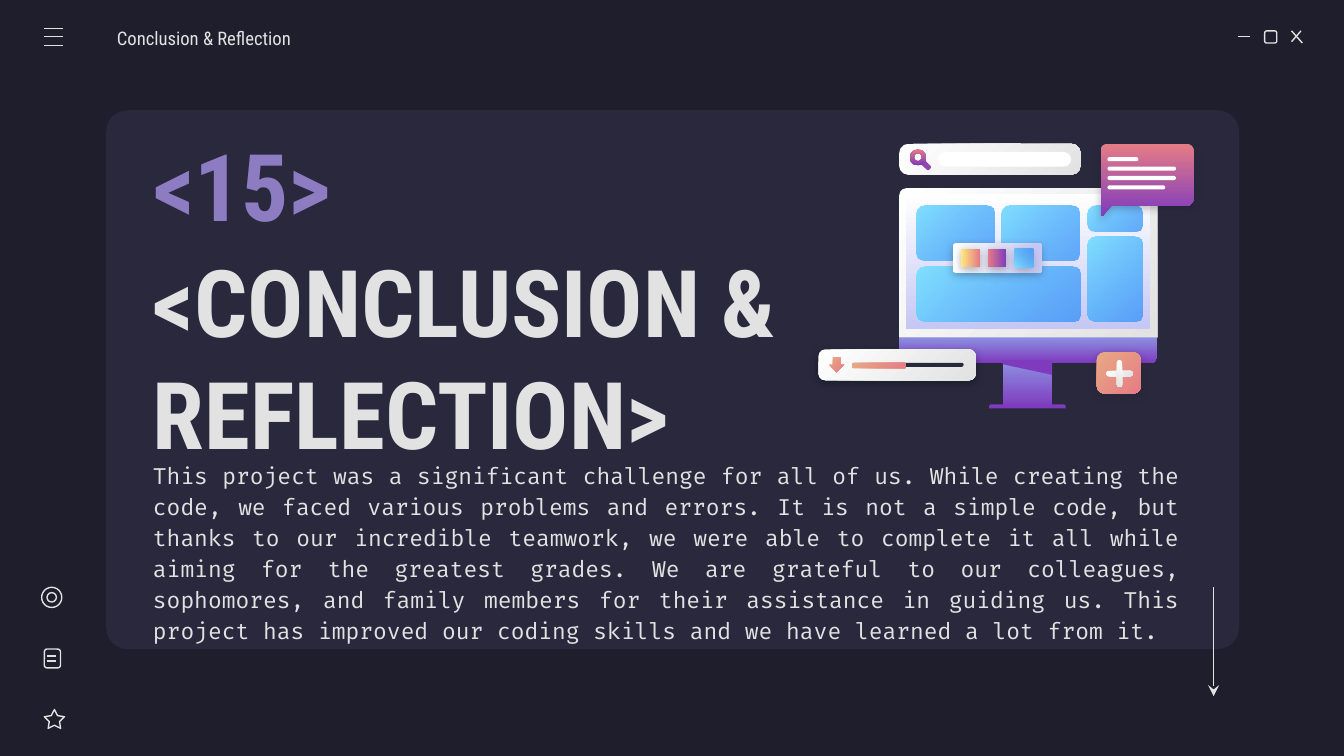
import math

from lxml import etree
from pptx import Presentation
from pptx.dml.color import RGBColor
from pptx.enum.shapes import MSO_CONNECTOR, MSO_SHAPE
from pptx.enum.text import MSO_ANCHOR, PP_ALIGN
from pptx.oxml.ns import qn
from pptx.util import Inches, Pt

ROUND = MSO_SHAPE.ROUNDED_RECTANGLE
TOP_ROUND = MSO_SHAPE.ROUND_2_SAME_RECTANGLE
OVAL = MSO_SHAPE.OVAL
STAR = MSO_SHAPE.STAR_5_POINT
DONUT = MSO_SHAPE.DONUT
DOWN_ARROW = MSO_SHAPE.DOWN_ARROW
RECTANGLE = MSO_SHAPE.RECTANGLE
STRAIGHT = MSO_CONNECTOR.STRAIGHT
MIDDLE = MSO_ANCHOR.MIDDLE
LEFT = PP_ALIGN.LEFT
JUSTIFY = PP_ALIGN.JUSTIFY

NIGHT = RGBColor(0x1E, 0x1E, 0x2C)
PANEL = RGBColor(0x29, 0x28, 0x3D)
PALE = RGBColor(0xE2, 0xE2, 0xE2)
LILAC = RGBColor(0x8E, 0x7C, 0xC3)
WHITE = RGBColor(0xFF, 0xFF, 0xFF)
BLACK = RGBColor(0x00, 0x00, 0x00)
PURPLE = RGBColor(0x7E, 0x3B, 0xBE)
PERIWINKLE = RGBColor(0x8D, 0x90, 0xE1)
LAVENDER = RGBColor(0xC5, 0xC7, 0xF4)
SKY = RGBColor(0x80, 0xDF, 0xFF)
BLUE = RGBColor(0x31, 0x8F, 0xFA)
ROSE = RGBColor(0xE5, 0x7C, 0x85)
PEACH = RGBColor(0xE9, 0xA9, 0x84)
YELLOW = RGBColor(0xFF, 0xEA, 0x7D)
PLUM = RGBColor(0x92, 0x47, 0xAF)

# Gradients: first colour, last colour, clockwise angle
SILVER = (WHITE, PALE, 45)
VIOLET = (PERIWINKLE, PURPLE, 90)
GLASS = (SKY, BLUE, 45)
CORAL = (PEACH, ROSE, 45)
SUNSET = (ROSE, PURPLE, 90)

BODY = (
    "This project was a significant challenge for all of us. While creating the code, "
    "we faced various problems and errors. It is not a simple code, but thanks to our "
    "incredible teamwork, we were able to complete it all while aiming for the greatest "
    "grades. We are grateful to our colleagues, sophomores, and family members for their "
    "assistance in guiding us. This project has improved our coding skills and we have "
    "learned a lot from it."
)


def paint(shape, fill, shadow=None):
    """Apply a plain colour, a gradient tuple or no fill (thin outline instead)."""
    shape.shadow.inherit = False
    if fill is None:
        shape.fill.background()
        shape.line.color.rgb = PALE
        shape.line.width = Pt(0.75)
        return shape
    shape.line.fill.background()
    if isinstance(fill, RGBColor):
        shape.fill.solid()
        shape.fill.fore_color.rgb = fill
    else:
        first, last, angle = fill
        shape.fill.gradient()
        shape.fill.gradient_angle = (360 - angle) % 360
        for stop, colour in zip(shape.fill.gradient_stops, (first, last)):
            stop.color.rgb = colour
        for colour in shape._element.spPr.iter(qn("a:srgbClr")):
            if colour.get("val") == str(BLUE):
                etree.SubElement(colour, qn("a:alpha"), val="72000")
    if shadow is not None:
        effects = shape._element.spPr.find(qn("a:effectLst"))
        outer = etree.SubElement(effects, qn("a:outerShdw"), blurRad=str(Pt(4.5)),
                                 dist=str(Pt(1.5)), dir="5400000", algn="bl", rotWithShape="0")
        colour = etree.SubElement(outer, qn("a:srgbClr"), val=str(shadow))
        etree.SubElement(colour, qn("a:alpha"), val="30000")
    return shape


def add_preset(slide, kind, box, fill=None, adjustments=(), shadow=None):
    shape = slide.shapes.add_shape(kind, *map(Inches, box))
    for index, value in enumerate(adjustments):
        shape.adjustments[index] = value
    return paint(shape, fill, shadow)


def add_rounded(slide, box, radius, fill=None, shadow=None):
    """Rounded rectangle with its corner radius in inches."""
    return add_preset(slide, ROUND, box, fill, [radius / min(box[2:])], shadow)


def add_outline(slide, points, fill, shadow=None):
    corners = [(Inches(x), Inches(y)) for x, y in points]
    builder = slide.shapes.build_freeform(*corners[0])
    builder.add_line_segments(corners[1:], close=True)
    return paint(builder.convert_to_shape(), fill, shadow)


def add_line(slide, x1, y1, x2, y2, head=None):
    line = slide.shapes.add_connector(STRAIGHT, *map(Inches, (x1, y1, x2, y2)))
    line.line.color.rgb = PALE
    line.line.width = Pt(0.75)
    if head:
        etree.SubElement(line.line._get_or_add_ln(), qn("a:tailEnd"), type=head)
    etree.SubElement(line._element.spPr, qn("a:effectLst"))


def add_text(slide, box, text, font, size, colour, bold=False, align=LEFT,
             spacing=1.0, left_inset=0.1):
    frame = slide.shapes.add_textbox(*map(Inches, box)).text_frame
    frame.word_wrap = True
    frame.vertical_anchor = MIDDLE
    frame.margin_left = Inches(left_inset)
    frame.margin_right = frame.margin_top = frame.margin_bottom = Inches(0.1)
    frame.text = text
    paragraph = frame.paragraphs[0]
    paragraph.alignment = align
    paragraph.line_spacing = spacing
    run_font = paragraph.runs[0].font
    run_font.name, run_font.size, run_font.bold = font, Pt(size), bold
    run_font.color.rgb = colour


def arc(x, y, radius, start):
    """Points of a clockwise quarter circle that begins at the given angle."""
    angles = [math.radians(start + step) for step in range(0, 91, 15)]
    return [(x + radius * math.cos(a), y + radius * math.sin(a)) for a in angles]


def draw_window_icons(slide):
    add_line(slide, 9.21, 0.27, 9.3, 0.27)
    add_rounded(slide, (9.41, 0.23, 0.09, 0.09), 0.015)
    add_line(slide, 9.61, 0.23, 9.69, 0.32)
    add_line(slide, 9.68, 0.23, 9.61, 0.31)
    for y in (0.21, 0.27, 0.34):
        add_line(slide, 0.33, y, 0.47, y)


def draw_side_icons(slide):
    add_preset(slide, OVAL, (0.31, 4.37, 0.15, 0.15))
    add_preset(slide, OVAL, (0.35, 4.41, 0.07, 0.07))
    add_rounded(slide, (0.33, 4.83, 0.12, 0.14), 0.02)
    for y in (4.88, 4.92):
        add_line(slide, 0.35, y, 0.42, y)
    add_preset(slide, STAR, (0.33, 5.28, 0.15, 0.14), None, (0.254, 1.051, 1.106))


def draw_monitor(slide):
    add_preset(slide, TOP_ROUND, (6.69, 1.4, 1.92, 1.11), SILVER, (0.05, 0))
    add_preset(slide, TOP_ROUND, (6.69, 2.51, 1.92, 0.19), VIOLET, (0, 0.25))
    add_preset(slide, RECTANGLE, (6.74, 1.44, 1.82, 1.01), (WHITE, LAVENDER, 90))
    add_preset(slide, RECTANGLE, (7.46, 2.69, 0.37, 0.34), VIOLET)
    add_preset(slide, TOP_ROUND, (7.36, 3.01, 0.57, 0.03), PURPLE, (0.5, 0))
    add_outline(slide, [(7.46, 2.68), (7.46, 2.71), (7.83, 2.79), (7.83, 2.68)], PURPLE)
    for tile in ((6.82, 1.53, 0.58, 0.41), (6.82, 1.98, 1.22, 0.41), (7.45, 1.53, 0.58, 0.41),
                 (8.09, 1.53, 0.41, 0.19), (8.09, 1.76, 0.41, 0.63)):
        add_rounded(slide, tile, 0.06, GLASS)


def draw_speech_bubble(slide):
    bubble = (arc(8.24, 1.12, 0.05, 180) + arc(8.83, 1.12, 0.05, 270)
              + arc(8.83, 1.48, 0.05, 0) + [(8.27, 1.53), (8.2, 1.61), (8.19, 1.6)])
    add_outline(slide, bubble, SUNSET, NIGHT)
    for row, width in enumerate((0.23, 0.51, 0.51, 0.43)):
        add_rounded(slide, (8.24, 1.17 + 0.07 * row, width, 0.03), 0.015, WHITE)


def draw_download_bar(slide):
    add_rounded(slide, (6.09, 2.6, 1.17, 0.23), 0.05, SILVER, BLACK)
    add_rounded(slide, (6.34, 2.7, 0.83, 0.03), 0.015, PANEL)
    add_rounded(slide, (6.34, 2.7, 0.4, 0.04), 0.01, CORAL)
    add_preset(slide, DOWN_ARROW, (6.17, 2.66, 0.11, 0.11), CORAL)


def draw_plus_button(slide):
    add_rounded(slide, (8.16, 2.62, 0.33, 0.31), 0.06, CORAL, NIGHT)
    for rotation in (0, 90):
        add_rounded(slide, (8.23, 2.76, 0.2, 0.04), 0.02, SILVER).rotation = rotation


def draw_palette(slide):
    add_rounded(slide, (7.09, 1.81, 0.66, 0.22), 0.02, (WHITE, LAVENDER, 0), NIGHT)
    swatches = ((YELLOW, ROSE, 0), (ROSE, PURPLE, 0), (SKY, BLUE, 315))
    for column, swatch in enumerate(swatches):
        add_rounded(slide, (7.15 + 0.2 * column, 1.85, 0.14, 0.14), 0.01, swatch, NIGHT)


def draw_search_bar(slide):
    add_rounded(slide, (6.69, 1.07, 1.35, 0.23), 0.07, SILVER)
    add_rounded(slide, (6.85, 1.21, 0.08, 0.04), 0.015, PLUM).rotation = 45
    add_preset(slide, DONUT, (6.77, 1.11, 0.12, 0.12), SUNSET, [0.25])
    add_rounded(slide, (6.98, 1.13, 0.99, 0.11), 0.055, WHITE)


def main():
    deck = Presentation()
    deck.slide_width = Inches(10)
    deck.slide_height = Inches(10) * 9 // 16
    slide = deck.slides.add_slide(deck.slide_layouts[6])
    slide.background.fill.solid()
    slide.background.fill.fore_color.rgb = NIGHT

    add_rounded(slide, (0.79, 0.82, 8.43, 4.01), 0.16, PANEL)
    draw_window_icons(slide)
    draw_side_icons(slide)

    heading = "Roboto Condensed"
    add_text(slide, (0.87, 0.12, 2.39, 0.3), "Conclusion & Reflection", heading, 10, PALE,
             spacing=1.15, left_inset=0)
    add_text(slide, (1.04, 1.83, 5.7, 1.64), "<CONCLUSION & REFLECTION>", heading, 50, PALE, True)
    add_text(slide, (1.04, 0.91, 1.78, 0.92), "<15>", heading, 50, LILAC, True)
    add_text(slide, (1.04, 3.71, 7.84, 0.78), BODY, "Fira Code", 12, PALE,
             align=JUSTIFY, spacing=1.15)

    for draw in (draw_monitor, draw_speech_bubble, draw_download_bar, draw_plus_button,
                 draw_palette, draw_search_bar):
        draw(slide)
    add_line(slide, 9.03, 4.37, 9.03, 5.18, "stealth")
    deck.save("out.pptx")


if __name__ == "__main__":
    main()
